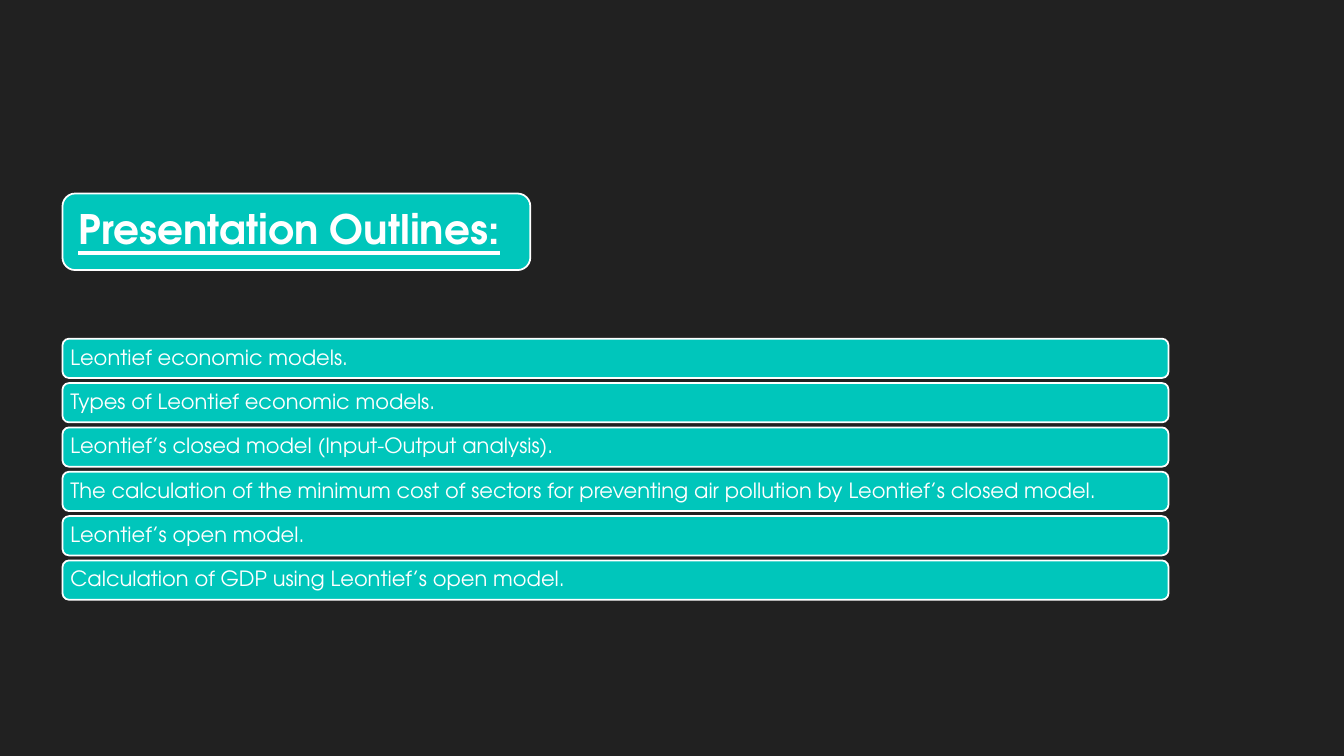
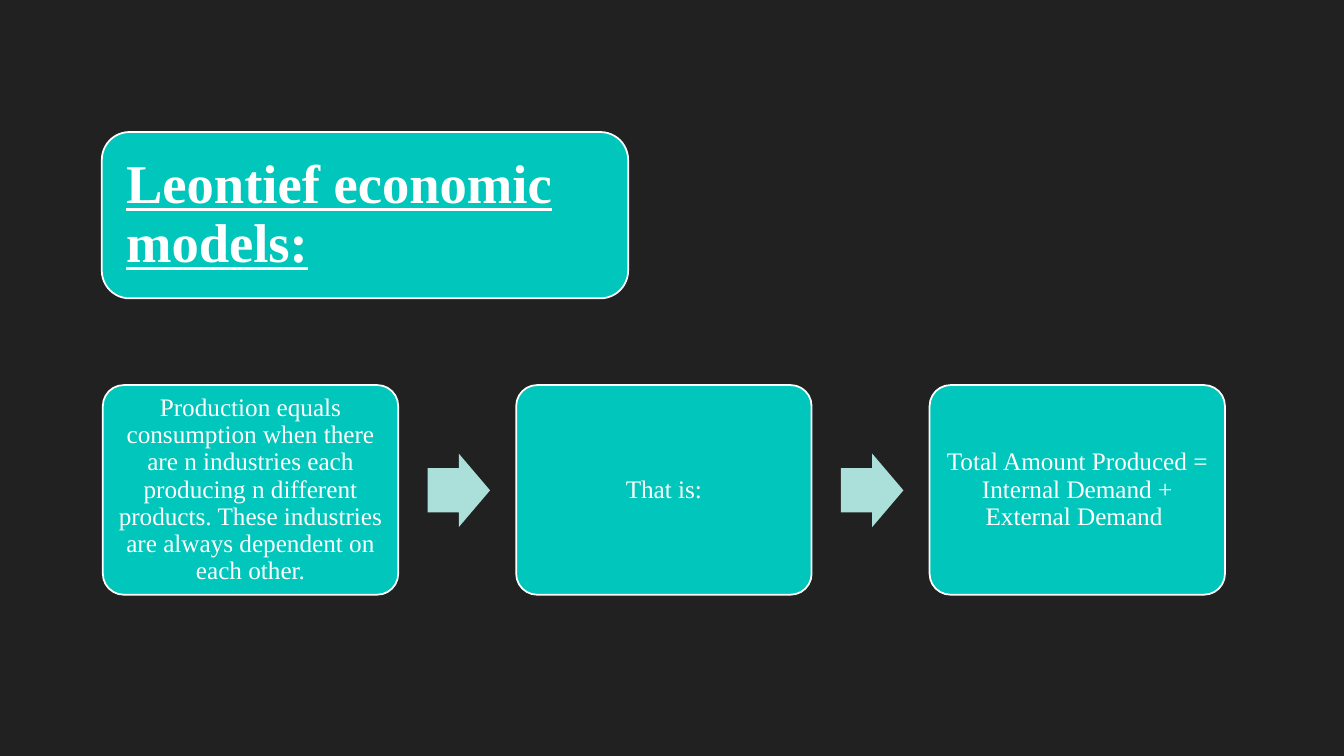
from dataclasses import dataclass

from pptx import Presentation
from pptx.dml.color import RGBColor
from pptx.enum import shapes, text
from pptx.util import Inches, Pt

# Shared colours and fonts
BACKGROUND = "212121"
TEAL = "00C6BB"
PALE_TEAL = "ABDFDA"
WHITE = "FFFFFF"
ADVENTOR = "TeX Gyre Adventor"
TIMES = "Times New Roman"


@dataclass(frozen=True)
class Box:
    left: float
    top: float
    width: float
    height: float


@dataclass(frozen=True)
class CardStyle:
    font: str
    size: float
    inset: float
    heading: bool = False
    align: text.PP_ALIGN = text.PP_ALIGN.LEFT
    rounding: float = 0.1667


def paint(fill, colour: str) -> None:
    fill.solid()
    fill.fore_color.rgb = RGBColor.from_string(colour)


def add_figure(slide, kind, box: Box, colour: str):
    """Draw a flat preset shape without an outline."""
    figure = slide.shapes.add_shape(
        kind, Inches(box.left), Inches(box.top), Inches(box.width), Inches(box.height))
    figure.shadow.inherit = False
    paint(figure.fill, colour)
    figure.line.fill.background()
    return figure


def add_card(slide, box: Box, wording: str, style: CardStyle) -> None:
    """Draw a teal rounded card with its wording."""
    card = add_figure(slide, shapes.MSO_SHAPE.ROUNDED_RECTANGLE, box, TEAL)
    card.adjustments[0] = style.rounding
    paint(card.line.fill, WHITE)
    card.line.width = Pt(1.25)

    frame = card.text_frame
    frame.word_wrap = True
    frame.vertical_anchor = text.MSO_ANCHOR.MIDDLE
    frame.margin_left = frame.margin_right = Inches(style.inset)
    frame.margin_top = frame.margin_bottom = Inches(style.inset)
    paragraph = frame.paragraphs[0]
    paragraph.alignment = style.align
    paragraph.line_spacing = 0.9

    run = paragraph.add_run()
    run.text = wording
    run.font.name = style.font
    run.font.size = Pt(style.size)
    run.font.color.rgb = RGBColor.from_string(WHITE)
    if style.heading:
        run.font.bold = True
        run.font.underline = True


def build_outline(slide) -> None:
    add_card(slide, Box(0.62, 1.92, 4.64, 0.76), "Presentation Outlines:",
             CardStyle(ADVENTOR, 29, 0.12, heading=True))

    # Topic bars at an equal pitch
    topics = (
        "Leontief economic models.",
        "Types of Leontief economic models.",
        "Leontief’s closed model (Input-Output analysis).",
        "The calculation of the minimum cost of sectors for preventing air pollution "
        "by Leontief’s closed model.",
        "Leontief’s open model.",
        "Calculation of GDP using Leontief’s open model.",
    )
    topic_style = CardStyle(ADVENTOR, 15, 0.06)
    for row, topic in enumerate(topics):
        add_card(slide, Box(0.62, 3.36 + 0.44 * row, 10.97, 0.39), topic, topic_style)


def build_models(slide) -> None:
    add_card(slide, Box(1.01, 1.31, 5.22, 1.65), "Leontief economic models:",
             CardStyle(TIMES, 39, 0.16, heading=True))

    # Steps from left to right, with an arrow before every step but the first
    steps = (
        "Production equals consumption when there are n industries each producing "
        "n different products. These industries are always dependent on each other.",
        "That is:",
        "Total Amount Produced = Internal Demand + External Demand ",
    )
    step_style = CardStyle(TIMES, 18, 0.07, align=text.PP_ALIGN.CENTER, rounding=0.1)
    for column, step in enumerate(steps):
        left = 1.02 + 4.1 * column
        if column:
            arrow = add_figure(slide, shapes.MSO_SHAPE.RIGHT_ARROW,
                               Box(left - 0.88, 4.5, 0.62, 0.73), PALE_TEAL)
            arrow.adjustments[0] = 0.6
            arrow.adjustments[1] = 0.5
        add_card(slide, Box(left, 3.82, 2.93, 2.08), step, step_style)


def main() -> None:
    deck = Presentation()
    deck.slide_width = Inches(13.33)
    deck.slide_height = Inches(7.5)
    paint(deck.slide_master.background.fill, BACKGROUND)
    blank = deck.slide_layouts[6]
    for build in (build_outline, build_models):
        build(deck.slides.add_slide(blank))
    deck.save("out.pptx")


if __name__ == "__main__":
    main()
